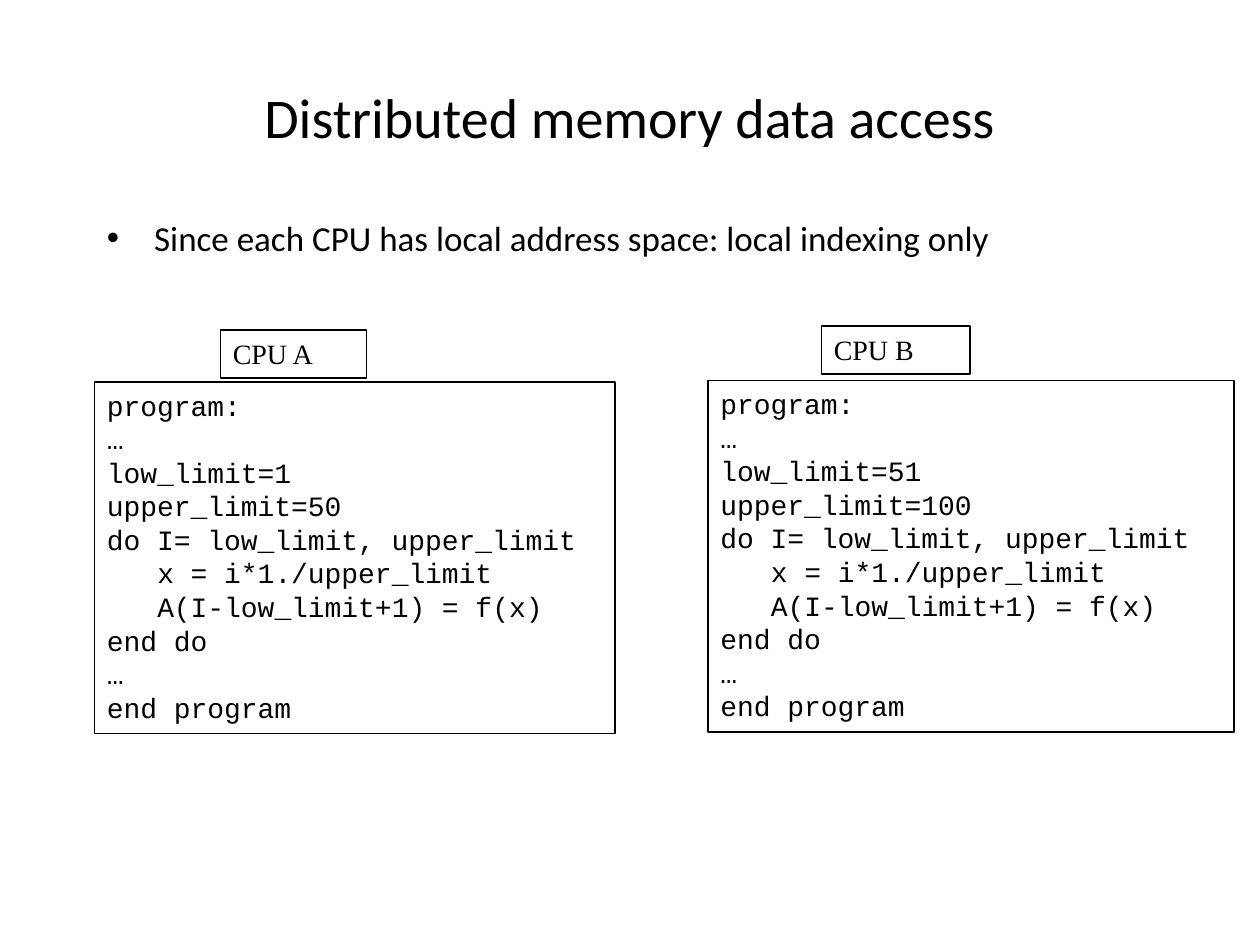
from dataclasses import dataclass

from lxml.etree import SubElement
from pptx import Presentation
from pptx.dml.color import RGBColor
from pptx.enum.shapes import MSO_SHAPE
from pptx.enum.text import MSO_ANCHOR, MSO_AUTO_SIZE, PP_ALIGN
from pptx.oxml.ns import qn
from pptx.util import Pt


@dataclass(frozen=True)
class Theme:
    """Colours, fonts and sizes of the slide."""
    ink: RGBColor = RGBColor(0, 0, 0)
    text_font: str = "Calibri"
    label_font: str = "Times New Roman"
    code_font: str = "Courier New"
    title_size: float = 32
    body_size: float = 20
    box_size: float = 16
    code_indent: float = 28.8
    bullet_indent: float = 27
    line_width: float = 1


@dataclass(frozen=True)
class Box:
    """A rectangle in points."""
    left: float
    top: float
    width: float
    height: float

    def lengths(self):
        """Return the four lengths for python-pptx."""
        return Pt(self.left), Pt(self.top), Pt(self.width), Pt(self.height)


THEME = Theme()
LABEL_HEIGHT = 27.4
CODE_HEIGHT = 200.9


def add_words(paragraph, words, font, size):
    """Add one formatted run to a paragraph."""
    run = paragraph.add_run()
    run.text = words
    run.font.name = font
    run.font.size = Pt(size)
    run.font.color.rgb = THEME.ink


def add_title(slide, box, words):
    """Place and format the title placeholder."""
    title = slide.shapes.title
    title.left, title.top, title.width, title.height = box.lengths()
    title.text_frame.vertical_anchor = MSO_ANCHOR.MIDDLE
    heading = title.text_frame.paragraphs[0]
    heading.alignment = PP_ALIGN.CENTER
    add_words(heading, words, THEME.text_font, THEME.title_size)


def add_statement(slide, box, words):
    """Place the bulleted statement under the title."""
    frame = slide.shapes.add_textbox(*box.lengths()).text_frame
    frame.word_wrap = True
    statement = frame.paragraphs[0]
    statement.space_before = Pt(THEME.body_size * 0.2)
    properties = statement._p.get_or_add_pPr()
    properties.set("marL", str(Pt(THEME.bullet_indent)))
    properties.set("indent", str(-Pt(THEME.bullet_indent)))
    SubElement(properties, qn("a:buFont"), typeface="Arial")
    SubElement(properties, qn("a:buChar"), char="•")
    add_words(statement, words, THEME.text_font, THEME.body_size)


def add_outlined_text(slide, box, lines, font):
    """Draw an outlined rectangle with lines of (indent level, words)."""
    outline = slide.shapes.add_shape(MSO_SHAPE.RECTANGLE, *box.lengths())
    outline.shadow.inherit = False
    outline.fill.background()
    outline.line.color.rgb = THEME.ink
    outline.line.width = Pt(THEME.line_width)
    frame = outline.text_frame
    frame.word_wrap = True
    frame.auto_size = MSO_AUTO_SIZE.SHAPE_TO_FIT_TEXT
    frame.vertical_anchor = MSO_ANCHOR.TOP
    for number, (level, words) in enumerate(lines):
        line = frame.add_paragraph() if number else frame.paragraphs[0]
        line.alignment = PP_ALIGN.LEFT
        if level:
            line._p.get_or_add_pPr().set("marL", str(Pt(level * THEME.code_indent)))
        add_words(line, words, font, THEME.box_size)


def add_cpu_panel(slide, box, name, label_offset, label_width, low, high):
    """Place a CPU label at the top of the box and its program at the bottom."""
    label = Box(box.left + label_offset, box.top, label_width, LABEL_HEIGHT)
    code = Box(box.left, box.top + box.height - CODE_HEIGHT, box.width, CODE_HEIGHT)
    program = [
        (0, "program:"),
        (0, "…"),
        (0, f"low_limit={low}"),
        (0, f"upper_limit={high}"),
        (0, "do I= low_limit, upper_limit"),
        (1, "x = i*1./upper_limit"),
        (1, "A(I-low_limit+1) = f(x)"),
        (0, "end do"),
        (0, "…"),
        (0, "end program"),
    ]
    add_outlined_text(slide, label, [(0, name)], THEME.label_font)
    add_outlined_text(slide, code, program, THEME.code_font)


def main():
    """Build and save the slide."""
    presentation = Presentation()
    presentation.slide_width, presentation.slide_height = Pt(720), Pt(540)
    slide = presentation.slides.add_slide(presentation.slide_layouts[5])
    add_title(slide, Box(36, 21.6, 648, 90), "Distributed memory data access")
    add_statement(slide, Box(54, 120.2, 612, 342),
                  "Since each CPU has local address space: local indexing only")
    add_cpu_panel(slide, Box(54, 188.6, 297.4, 230.5), "CPU A", 72, 83.5, 1, 50)
    add_cpu_panel(slide, Box(404.6, 186.5, 300.6, 231.8), "CPU B", 64.8, 85, 51, 100)
    presentation.save("out.pptx")


if __name__ == "__main__":
    main()
